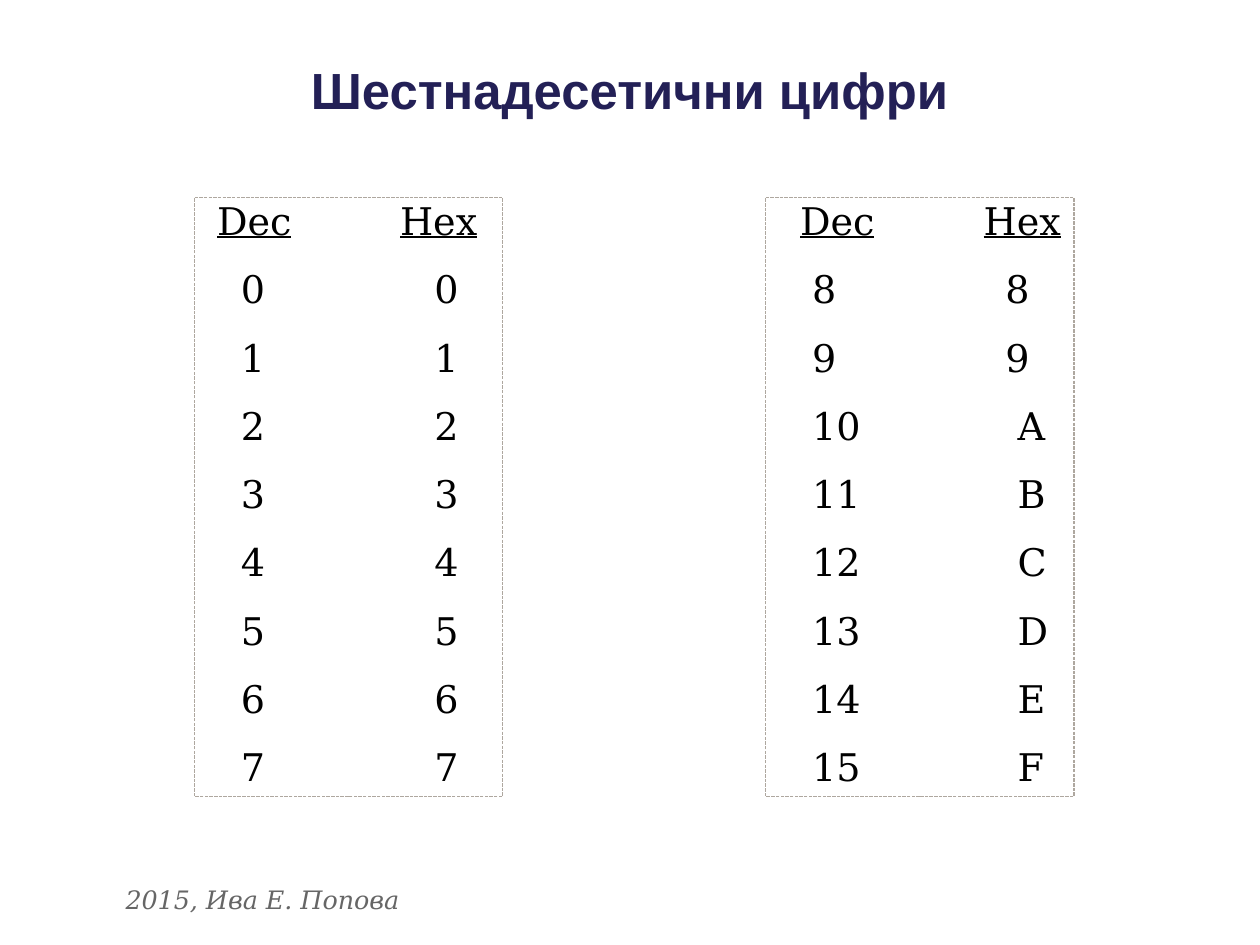
from pptx import Presentation, util as u
from pptx.dml.color import RGBColor
from pptx.enum import dml, shapes, text
from pptx.oxml.ns import qn
from lxml import etree

COLORS = {"title": "232056", "body": "000000", "footer": "666666", "border": "AEA79F"}


def set_font(font, name, size, color):
    font.name = name
    font.size = u.Pt(size)
    font.color.rgb = RGBColor.from_string(COLORS[color])


def set_tabs(p, stops):
    tabs = etree.SubElement(p._p.get_or_add_pPr(), qn("a:tabLst"))
    for stop in stops:
        etree.SubElement(tabs, qn("a:tab"), pos=str(u.Pt(stop)), algn="l")


prs = Presentation()
prs.slide_width, prs.slide_height = u.Pt(793.7), u.Pt(595.28)
s = prs.slides.add_slide(prs.slide_layouts[6])

title = s.shapes.add_textbox(u.Pt(39.6), u.Pt(26.2), u.Pt(714.3), u.Pt(59.8))
tf = title.text_frame
tf.word_wrap = True
tf.vertical_anchor = text.MSO_ANCHOR.MIDDLE
tf.margin_left = tf.margin_top = tf.margin_right = tf.margin_bottom = 0
p = tf.paragraphs[0]
p.text = "Шестнадесетични цифри"
p.alignment = text.PP_ALIGN.CENTER
set_font(p.font, "Arial", 32, "title")
p.font.bold = True

footer = s.shapes.add_textbox(u.Pt(72), u.Pt(553.4), u.Pt(208.8), u.Pt(22.3))
footer.text_frame.word_wrap = True
p = footer.text_frame.paragraphs[0]
p.text = "2015, Ива Е. Попова"
set_font(p.font, "DejaVu Serif", 16, "footer")
p.font.italic = True

for left, first, header_stops in ((122.4, 0, (115.2,)), (482.2, 8, (7.4, 123))):
    sp = s.shapes.add_shape(shapes.MSO_SHAPE.RECTANGLE, u.Pt(left), u.Pt(124.4), u.Pt(194.4), u.Pt(377.3))
    sp.shadow.inherit = False
    sp.fill.background()
    sp.line.color.rgb = RGBColor.from_string(COLORS["border"])
    sp.line.width = u.Pt(0)
    sp.line.dash_style = dml.MSO_LINE.SQUARE_DOT
    tf = sp.text_frame
    tf.word_wrap = True
    tf.vertical_anchor = text.MSO_ANCHOR.TOP
    tf.margin_left = u.Pt(14.4)
    tf.margin_top = tf.margin_right = tf.margin_bottom = 0

    p = tf.paragraphs[0]
    p.alignment = text.PP_ALIGN.LEFT
    set_tabs(p, header_stops)
    set_font(p.font, "DejaVu Serif", 24, "body")
    lead = "\t" * (len(header_stops) - 1)
    for part, underlined in ((lead, False), ("Dec", True), ("\t", False), ("Hex", True)):
        if part:
            r = p.add_run()
            r.text = part
            set_font(r.font, "DejaVu Serif", 24, "body")
            r.font.underline = underlined

    for value in range(first, first + 8):
        p = tf.add_paragraph()
        p.text = f"\t{value}\t{value:X}"
        p.alignment = text.PP_ALIGN.LEFT
        p.space_before = u.Pt(14.2)
        set_tabs(p, (15, 136.8 if value < 10 else 144.4))
        set_font(p.font, "DejaVu Serif", 24, "body")

prs.save("out.pptx")
